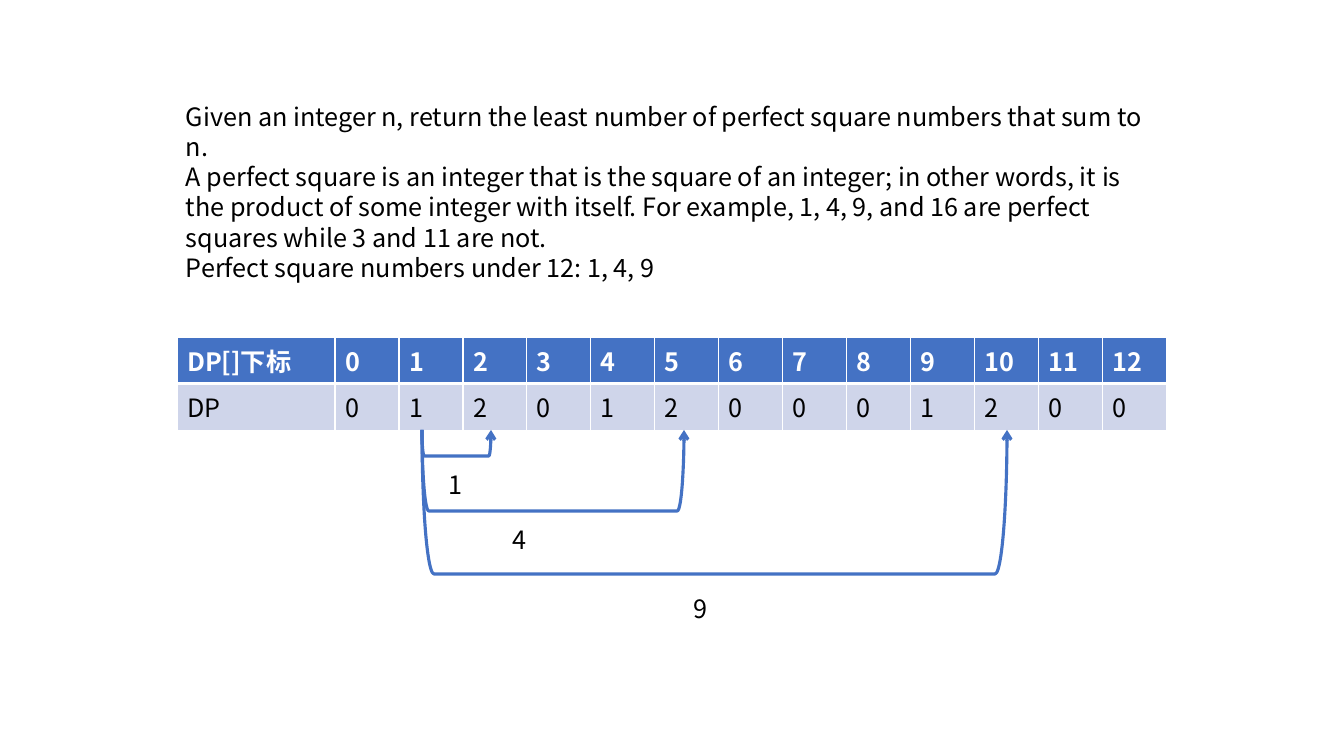
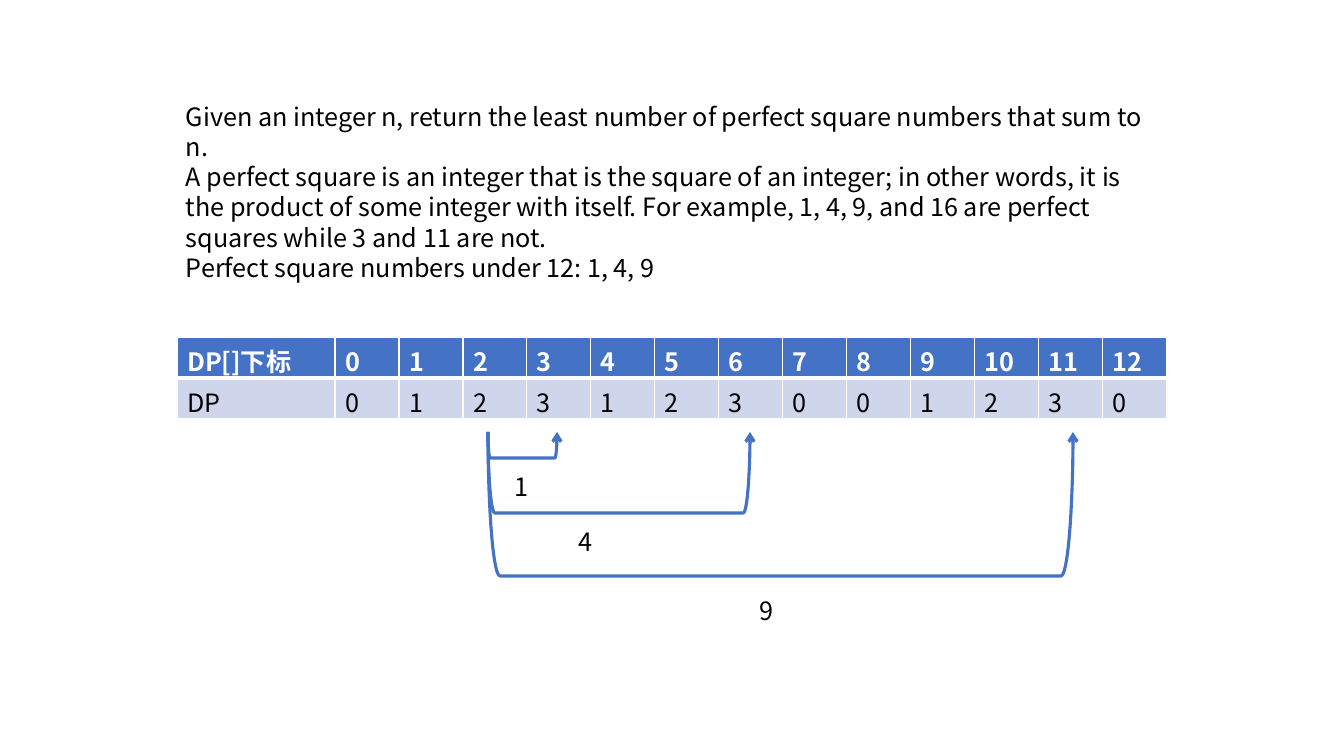
from lxml.etree import SubElement
from pptx import Presentation
from pptx.dml.color import RGBColor
from pptx.enum.shapes import MSO_SHAPE
from pptx.enum.text import MSO_AUTO_SIZE
from pptx.oxml import parse_xml
from pptx.oxml.ns import nsdecls, qn
from pptx.util import Emu, Pt

SCALE = 914400 / 100.8
FONT = "Noto Sans CJK SC"
BLUE = RGBColor(0x44, 0x72, 0xC4)
PALE = RGBColor(0xCF, 0xD5, 0xEA)
WHITE = RGBColor(0xFF, 0xFF, 0xFF)
BLACK = RGBColor(0, 0, 0)

TASK = [
    "Given an integer n, return the least number of perfect square numbers that sum to n.",
    "A perfect square is an integer that is the square of an integer; in other words, "
    "it is the product of some integer with itself. For example, 1, 4, 9, and 16 are "
    "perfect squares while 3 and 11 are not.",
    "Perfect square numbers under 12: 1, 4, 9",
]
HEAD = ["DP[]下标", *range(13)]
JUMPS = [  # square, span, drop, label offset
    (1, 69, 26, (17, 34)),
    (4, 262, 81, (81, 89)),
    (9, 585, 144, (262, 158)),
]
STEPS = [
    ([0, 1, 2, 0, 1, 2, 0, 0, 0, 1, 2, 0, 0], (422, 430)),
    ([0, 1, 2, 3, 1, 2, 3, 0, 0, 1, 2, 3, 0], (488, 432)),
]


def px(*vals):
    """Turn pixels into EMU."""
    return [Emu(round(val * SCALE)) for val in vals]


def style(para, color=BLACK, bold=False):
    """Set the shared font on a paragraph."""
    font = para.font
    font.name, font.size, font.bold = FONT, Pt(18), bold
    font.color.rgb = color


def write(slide, box, lines, wrap=True):
    """Add a text box with one paragraph per line."""
    frame = slide.shapes.add_textbox(*px(*box)).text_frame
    frame.word_wrap = wrap
    frame.auto_size = MSO_AUTO_SIZE.SHAPE_TO_FIT_TEXT
    frame.text = "\n".join(lines)
    for para in frame.paragraphs:
        style(para)


def edge(cell, base):
    """Draw white cell borders, the bottom one with the given width."""
    props = cell._tc.get_or_add_tcPr()
    for i, side in enumerate("LRTB"):
        width = Pt(base if side == "B" else 1)
        props.insert(i, parse_xml(
            f'<a:ln{side} {nsdecls("a")} w="{width}"><a:solidFill>'
            f'<a:srgbClr val="{WHITE}"/></a:solidFill></a:ln{side}>'))


def grid(slide, box, rows):
    """Add the table with a wide first column and equal others."""
    table = slide.shapes.add_table(len(rows), len(HEAD), *px(*box)).table
    first, rest = px(158, 64)
    for i, col in enumerate(table.columns):
        col.width = rest if i else first
    looks = [(BLUE, WHITE, True, 3), (PALE, BLACK, False, 1)]
    for r, (row, look) in enumerate(zip(rows, looks)):
        fill, color, bold, base = look
        for c, val in enumerate(row):
            cell = table.cell(r, c)
            cell.text = str(val)
            cell.fill.solid()
            cell.fill.fore_color.rgb = fill
            style(cell.text_frame.paragraphs[0], color, bold)
            edge(cell, base)


def jump(slide, box):
    """Add a bracket open at the top, with an arrow at its right end."""
    x, y, span, drop = box
    left, top = x + (span - drop) / 2, y + (drop - span) / 2
    mark = slide.shapes.add_shape(MSO_SHAPE.LEFT_BRACKET, *px(left, top, drop, span))
    mark.rotation = 270
    mark.element.spPr.xfrm.set("flipV", "1")
    mark.shadow.inherit = False
    mark.fill.background()
    mark.line.color.rgb = BLUE
    mark.line.width = Pt(2.25)
    SubElement(mark.line._get_or_add_ln(), qn("a:tailEnd"), type="arrow")


def jumps(slide, start):
    """Add all brackets and their labels from one start point."""
    x, y = start
    for _, span, drop, _ in JUMPS:
        jump(slide, (x, y, span, drop))
    for square, _, _, (dx, dy) in JUMPS:
        write(slide, (x + dx, y + dy, 34, 40), [str(square)], wrap=False)


def step(deck, vals, start):
    """Add one slide showing a step of the search."""
    slide = deck.slides.add_slide(deck.slide_layouts[6])
    grid(slide, (177, 337, 990, 82), [HEAD, ["DP", *vals]])
    write(slide, (176, 96, 992, 163), TASK)
    jumps(slide, start)


deck = Presentation()
deck.slide_width, deck.slide_height = px(1344, 756)
for vals, start in STEPS:
    step(deck, vals, start)
deck.save("out.pptx")
